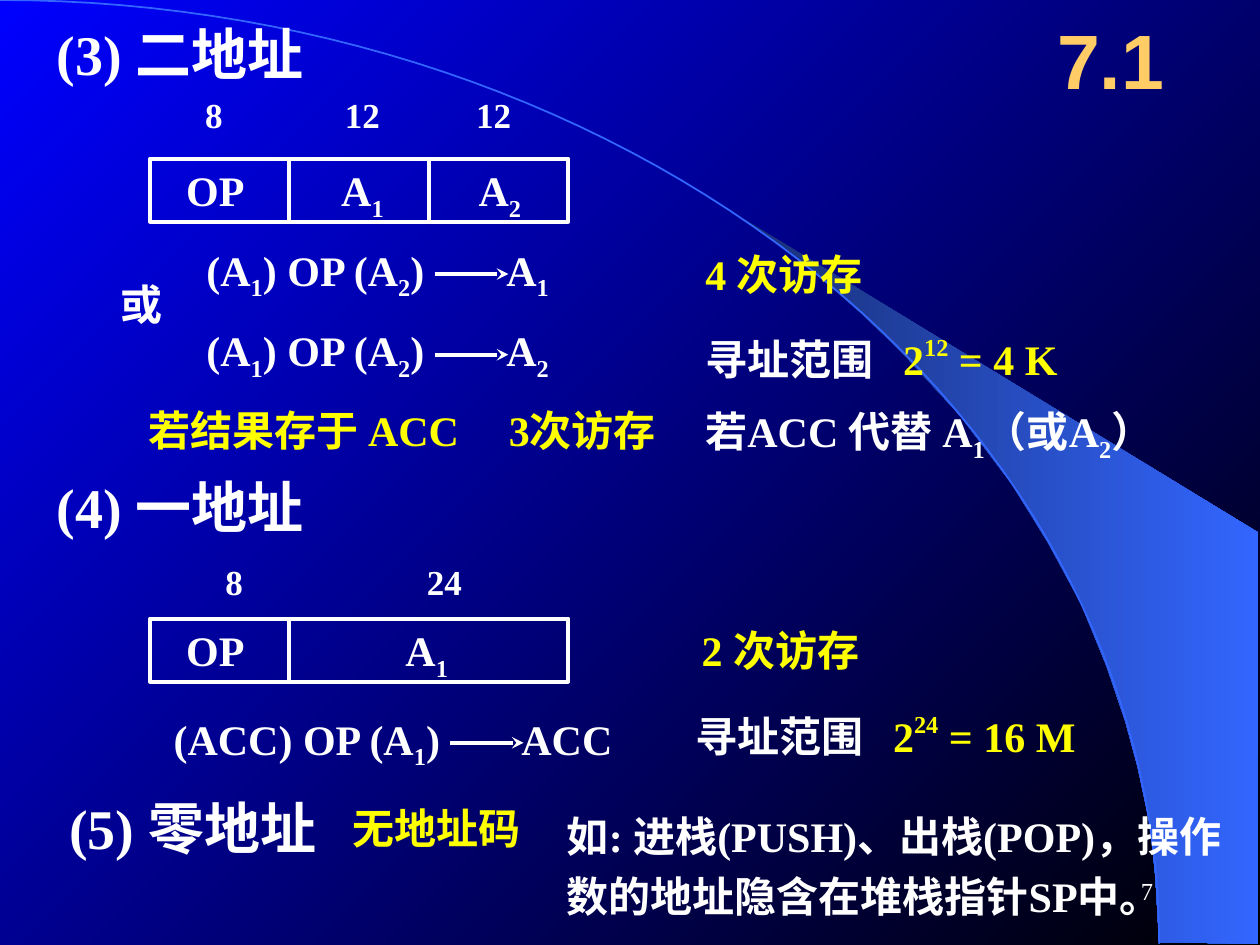
from math import cos, pi, sin

from lxml.etree import SubElement
from pptx import Presentation
from pptx.dml.color import RGBColor
from pptx.enum.shapes import MSO_CONNECTOR, MSO_SHAPE
from pptx.enum.text import MSO_ANCHOR, MSO_AUTO_SIZE, PP_ALIGN
from pptx.oxml.ns import qn
from pptx.util import Inches, Pt

COLORS = {
    "text": "FFFFFF", "key": "FFFF00", "title": "FFCC66", "arc": "3366FF",
    "sky": "0000FF", "night": "000000", "beam": "182F76",
}
COLUMNS, ROWS = 100, 75


def color(name):
    return RGBColor.from_string(COLORS[name])


class SlideBuilder:
    """Style and current slide; every length is in grid columns and rows."""

    font = "Times New Roman"
    line_width = Pt(2.25)

    def __init__(self, deck, layout):
        self.slide = deck.slides.add_slide(deck.slide_layouts[layout])
        self.shapes = self.slide.shapes
        self.column = deck.slide_width / COLUMNS
        self.row = deck.slide_height / ROWS

    def x(self, columns):
        return round(columns * self.column)

    def y(self, rows):
        return round(rows * self.row)

    def box(self, left, top, width, height):
        return self.x(left), self.y(top), self.x(width), self.y(height)

    def gradient(self, fill, start, end, angle):
        fill.gradient()
        fill.gradient_angle = angle
        for stop, name in zip(fill.gradient_stops, (start, end)):
            stop.color.rgb = color(name)

    def outline(self, points, close):
        corners = [(self.x(col), self.y(row)) for col, row in points]
        builder = self.shapes.build_freeform(*corners[0])
        builder.add_line_segments(corners[1:], close=close)
        shape = builder.convert_to_shape()
        shape.shadow.inherit = False
        return shape

    def style(self, paragraph, size, ink, bold=True, font=None):
        paragraph.font.name = font or self.font
        paragraph.font.size = Pt(size)
        paragraph.font.bold = bold
        paragraph.font.color.rgb = color(ink)

    def title(self, text, *area):
        heading = self.shapes.title
        heading.left, heading.top, heading.width, heading.height = self.box(*area)
        heading.text_frame.text = text
        heading.text_frame.vertical_anchor = MSO_ANCHOR.MIDDLE
        paragraph = heading.text_frame.paragraphs[0]
        paragraph.alignment = PP_ALIGN.CENTER
        self.style(paragraph, 44, "title", font="Arial")

    def text(self, pieces, *area, size=24, ink="text", bold=True, wrap=True,
             tabs=(), key_from=None, spacing=None, align=PP_ALIGN.LEFT):
        """A piece led by _ is a subscript and one led by ^ a superscript."""
        frame = self.shapes.add_textbox(*self.box(*area)).text_frame
        frame.word_wrap = wrap
        frame.auto_size = MSO_AUTO_SIZE.SHAPE_TO_FIT_TEXT
        paragraph = frame.paragraphs[0]
        paragraph.alignment = align
        if spacing:
            paragraph.line_spacing = spacing
        if tabs:
            stops = SubElement(paragraph._p.get_or_add_pPr(), qn("a:tabLst"))
            for stop in tabs:
                SubElement(stops, qn("a:tab"), pos=str(self.x(stop)), algn="l")
        self.style(paragraph, size, ink, bold)
        baselines = {"_": "-25000", "^": "45000"}
        for index, piece in enumerate(pieces.split("|")):
            run = paragraph.add_run()
            run.text = piece.lstrip("_^")
            if piece[0] in baselines:
                run._r.get_or_add_rPr().set("baseline", baselines[piece[0]])
            if key_from is not None and index >= key_from:
                run.font.color.rgb = color("key")

    def field(self, *area):
        cell = self.shapes.add_shape(MSO_SHAPE.RECTANGLE, *self.box(*area))
        cell.shadow.inherit = False
        cell.fill.background()
        cell.line.color.rgb = color("text")
        cell.line.width = self.line_width

    def arrow(self, left, row, length):
        shaft = self.shapes.add_connector(
            MSO_CONNECTOR.STRAIGHT, self.x(left), self.y(row),
            self.x(left + length), self.y(row))
        shaft.line.color.rgb = color("text")
        shaft.line.width = self.line_width
        properties = shaft._element.spPr
        SubElement(properties.find(qn("a:ln")), qn("a:tailEnd"), type="stealth")
        SubElement(properties, qn("a:effectLst"))

    def instruction(self, top, fields):
        """A row of fields, each given as label, label left, label width, span."""
        unit, left = 11.07, 11.9
        for _, _, _, span in fields:
            self.field(left, top, unit * span, 5)
            left += unit * span
        for label, label_left, width, _ in fields:
            self.text(label, label_left, top, width, 5.6, wrap=False)

    def operation(self, formula, left, top, width, tab, arrow_left):
        self.text(formula, left, top, width, 5.6, tabs=[tab])
        self.arrow(arrow_left, top + 2.85, 5.85)


def build():
    deck = Presentation()
    deck.slide_width, deck.slide_height = Inches(10), Inches(7.5)
    page = SlideBuilder(deck, 5)

    # Backdrop: night sky, beam and arc
    page.gradient(page.slide.background.fill, "sky", "night", 315)
    beam = page.outline([
        (92, 74.8), (99.9, 74.9), (99.9, 42.3), (58.9, 17.3), (62.4, 19.9),
        (65.3, 22.2), (68.5, 25), (71.6, 28), (76.2, 33), (80.3, 38.4),
        (83.2, 43.1), (85.8, 47.9), (87.8, 52.8), (89.3, 57.2), (90.3, 60.9),
        (91.3, 65.6), (91.7, 69.6)], close=True)
    page.gradient(beam.fill, "beam", "arc", 0)
    beam.line.fill.background()
    steps = 60
    angles = [pi / 2 * step / steps for step in range(steps + 1)]
    arc = page.outline([(92 * sin(a), 74.9 * (1 - cos(a))) for a in angles],
                       close=False)
    arc.fill.background()
    arc.line.color.rgb = color("arc")
    arc.line.width = Pt(1)

    page.title("7.1", 81.9, 0.1, 12.5, 9.2)

    # Section headings
    for heading, left, top in [("(3) 二地址", 3.5, 1.1), ("(4) 一地址", 3.5, 37),
                               ("(5) 零地址", 4.5, 62.5)]:
        page.text(heading, left, top, 30, 6.4, size=32)

    # Two addresses: instruction fields and operations
    page.text("8\t12\t12", 15.3, 6.9, 27, 4.4, size=20, tabs=[11.1, 21.5])
    page.instruction(12.6, [("OP", 13.8, 6.6, 1), ("A|_1", 26.1, 5.4, 1),
                            ("A|_2", 37, 5.4, 1)])
    for target, top in [("1", 18.9), ("2", 25.3)]:
        page.operation(f"(A|_1|) OP (A|_2|)\tA|_{target}",
                       15.4, top, 31, 23.8, 34.5)
    page.text("或", 8.6, 21.6, 5.3, 5, wrap=False)
    page.text("若结果存于 ACC", 10.8, 31.6, 30.8, 5, ink="key")
    page.text("3次访存", 39.4, 31.6, 20, 5, ink="key")

    # Two addresses: memory accesses and range
    page.text("4 次访存", 55, 19.2, 30.2, 5, ink="key")
    page.text("寻址范围\t|2|^12| = 4 K", 55, 25.9, 34.3, 5.1,
              tabs=[15.7], key_from=1)
    page.text("若ACC 代替 A|_1|（或A|_2|）", 55, 31.7, 39.3, 10.1)

    # One address
    page.text("8\t24", 16.9, 44, 22, 4.4, size=20, tabs=[16])
    page.instruction(49.1, [("OP", 13.8, 6.6, 1), ("A|_1", 31.2, 5.4, 2)])
    page.operation("(ACC) OP (A|_1|)\tACC", 12.8, 56.1, 39, 27.6, 35.7)
    page.text("2 次访存", 54.7, 49.1, 16, 5, ink="key")
    page.text("寻址范围\t|2|^24| = 16 M", 54.2, 55.8, 34, 5.1,
              tabs=[15.7], key_from=1)

    # Zero addresses
    page.text("无地址码", 27, 63.2, 15.3, 5, ink="key", wrap=False)
    page.text("如: 进栈(PUSH)、出栈(POP)，操作数的地址隐含在堆栈指针SP中。",
              44, 63, 56, 10.6, spacing=1.2)

    # Page number
    page.text("7", 71.7, 69, 20.8, 3.4, size=14, bold=False,
              align=PP_ALIGN.RIGHT)

    deck.save("out.pptx")


if __name__ == "__main__":
    build()
